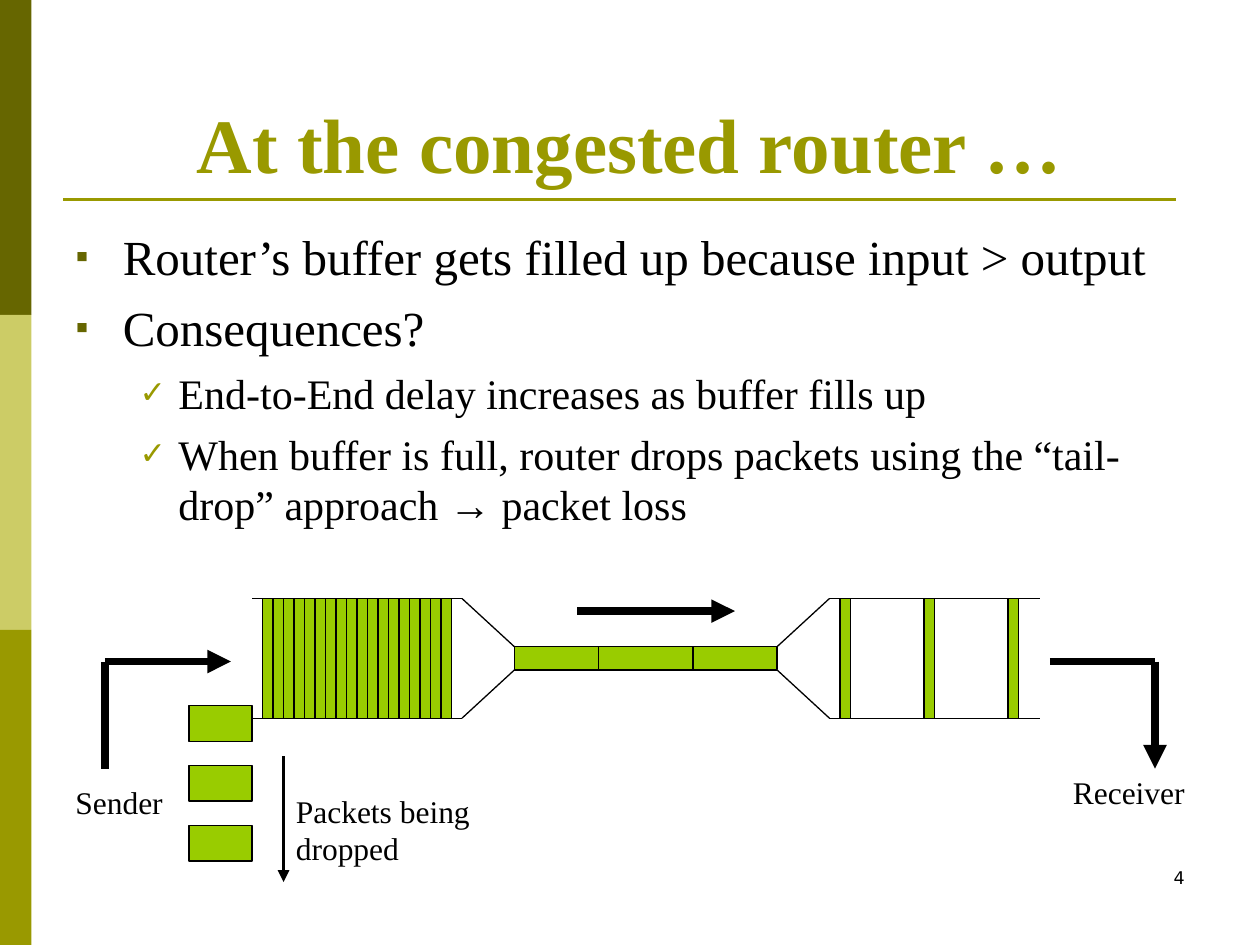
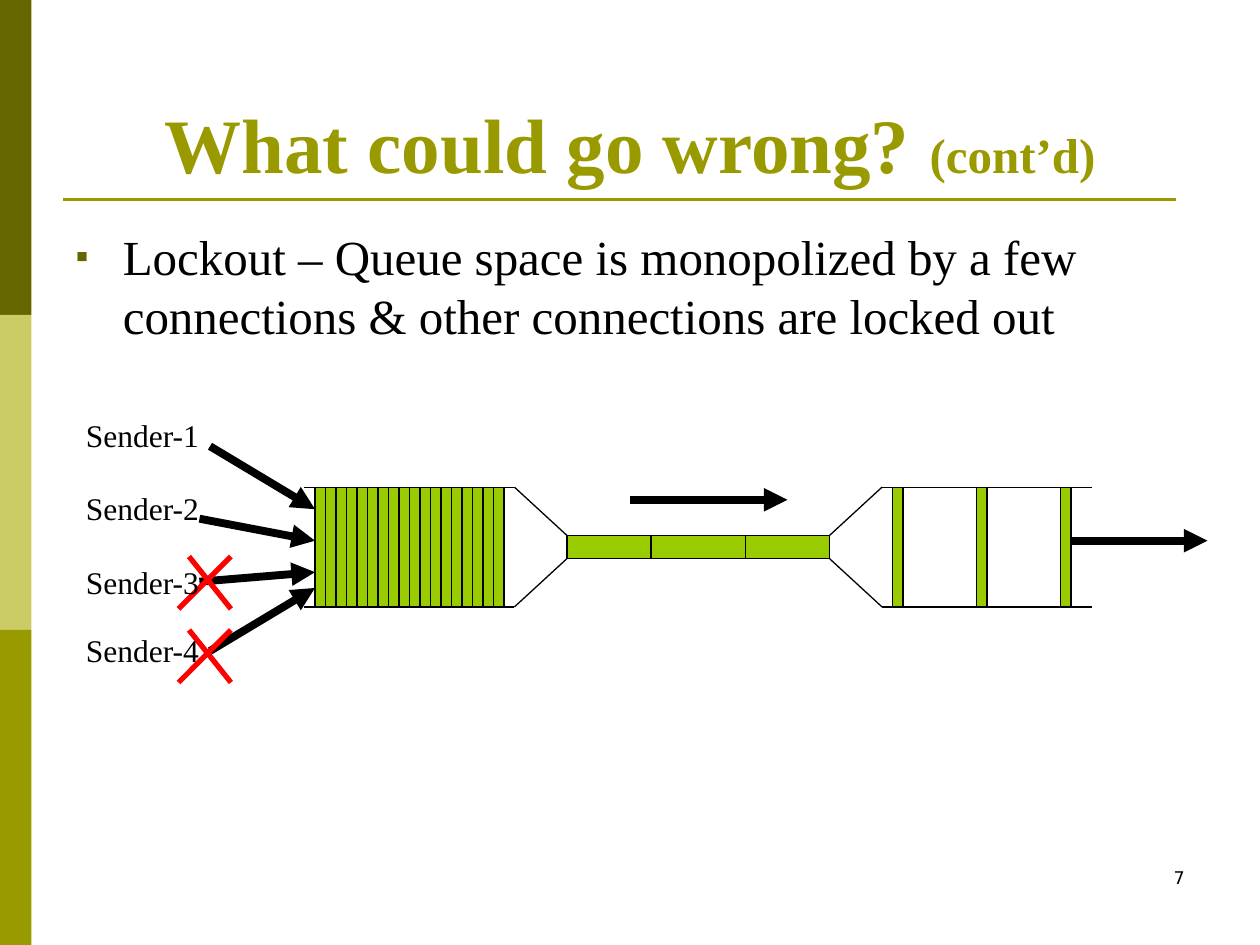
from lxml.etree import SubElement
from pptx import Presentation
from pptx.dml.color import RGBColor
from pptx.enum.shapes import MSO_CONNECTOR as CONN, MSO_SHAPE as SHAPE
from pptx.enum.text import MSO_ANCHOR as ANCHOR, MSO_AUTO_SIZE as FIT, PP_ALIGN as ALIGN
from pptx.oxml.ns import qn
from pptx.util import Pt

PX = 7620
SERIF = "Times New Roman"
BLACK, RED, GREEN = "000000", "FF0000", "99CC00"
DARK, PALE, OLIVE = "666600", "CCCC66", "999900"
rgb = RGBColor.from_string


def add_text(p, text, size=18, color=BLACK, font=SERIF, bold=False):
    r = p.add_run()
    r.text = text
    r.font.size, r.font.name, r.font.bold = Pt(size), font, bold
    r.font.color.rgb = rgb(color)


def add_line(s, x1, y1, x2, y2, width=0.75, color=BLACK, arrow=False):
    c = s.shapes.add_connector(CONN.STRAIGHT, x1 * PX, y1 * PX, x2 * PX, y2 * PX)
    c.line.width = Pt(width)
    c.line.color.rgb = rgb(color)
    spPr = c.element.spPr
    if arrow:
        SubElement(spPr.find(qn("a:ln")), qn("a:tailEnd"), type="triangle")
    SubElement(spPr, qn("a:effectLst"))
    return c


BULLETS = [
    dict(size=28, indent=45, hang=45, before=7, char="▪", color=DARK),
    dict(size=24, indent=98, hang=37, before=6, char="✓", color=OLIVE),
]

SLIDES = [
    dict(
        number="4",
        title=[("At the congested router …", 44)],
        body_height=310,
        body=[
            (0, [("Router’s buffer gets filled up because input > output", SERIF)]),
            (0, [("Consequences?", SERIF)]),
            (1, [("End-to-End delay increases as buffer fills up", SERIF)]),
            (1, [("When buffer is full, router drops packets using the “tail-drop” approach ", SERIF),
                 ("→", "Arial"), (" packet loss", SERIF)]),
        ],
        pipe=(240, 570),
        dropped=[(180, y, 60, 34) for y in (672, 729, 786)],
        lines=[
            (100, 630, 220, 630, 4.5, BLACK, True),
            (100, 630, 100, 732, 4.5),
            (1000, 630, 1100, 630, 4.5),
            (1100, 630, 1100, 732, 4.5, BLACK, True),
            (270, 720, 270, 840, 2.25, BLACK, True),
        ],
        labels=[
            (60, 740, 130, 48, "Sender"),
            (1010, 730, 140, 48, "Receiver"),
            (270, 748, 250, 84, "Packets being dropped"),
        ],
    ),
    dict(
        number="7",
        title=[("What could go wrong? ", 44), ("(cont’d)", 28)],
        body_height=180,
        body=[
            (0, [("Lockout – Queue space is monopolized by a few connections "
                  "& other connections are locked out", SERIF)]),
        ],
        pipe=(290, 464),
        dropped=[],
        lines=[
            (200, 425, 300, 485, 4.5, BLACK, True),
            (190, 494, 300, 515, 4.5, BLACK, True),
            (190, 554, 300, 545, 4.5, BLACK, True),
            (200, 620, 300, 560, 4.5, BLACK, True),
            (1020, 515, 1150, 515, 4.5, BLACK, True),
        ] + [
            (x, y1, 220, y2, 3, RED)
            for top in (530, 600)
            for x, y1, y2 in ((180, top, top + 50), (170, top + 50, top))
        ],
        labels=[(70, y, 140, 48, f"Sender-{i}")
                for i, y in enumerate((390, 460, 530, 595), 1)],
    ),
]

prs = Presentation()
prs.slide_width, prs.slide_height = 1200 * PX, 900 * PX
layout = prs.slide_layouts[1]
for ph in list(layout.placeholders):
    if ph.placeholder_format.idx >= 10:
        ph.element.getparent().remove(ph.element)

for n, data in enumerate(SLIDES):
    s = prs.slides.add_slide(layout)

    if n == 0:
        shared = [add_line(s, 60, 190, 1120, 190, 1.5, OLIVE)]
        for i, color in enumerate((DARK, PALE, OLIVE)):
            sp = s.shapes.add_shape(SHAPE.RECTANGLE, 0, i * 300 * PX, 30 * PX, 300 * PX)
            sp.shadow.inherit = False
            sp.fill.solid()
            sp.fill.fore_color.rgb = rgb(color)
            sp.line.fill.background()
            shared.append(sp)
        for sp in shared:
            layout.shapes.element.append(sp.element)

    title, body = s.shapes.title, s.placeholders[1]
    for sp, top, height in ((title, 36, 150), (body, 210, data["body_height"])):
        sp.left, sp.top, sp.width, sp.height = 60 * PX, top * PX, 1080 * PX, height * PX
        sp.text_frame.auto_size = FIT.NONE
    title.text_frame.vertical_anchor = ANCHOR.BOTTOM
    p = title.text_frame.paragraphs[0]
    p.alignment = ALIGN.CENTER
    for text, size in data["title"]:
        add_text(p, text, size=size, color=OLIVE, bold=True)

    tf = body.text_frame
    for i, (level, runs) in enumerate(data["body"]):
        style = BULLETS[level]
        p = tf.add_paragraph() if i else tf.paragraphs[0]
        p.level = level
        p.space_before = Pt(style["before"] if i else 0)
        pPr = p._p.get_or_add_pPr()
        pPr.set("marL", str(style["indent"] * PX))
        pPr.set("indent", str(-style["hang"] * PX))
        SubElement(SubElement(pPr, qn("a:buClr")), qn("a:srgbClr"), val=style["color"])
        SubElement(pPr, qn("a:buSzPct"), val="75000")
        SubElement(pPr, qn("a:buFont"), typeface="Arial")
        SubElement(pPr, qn("a:buChar"), char=style["char"])
        for text, font in runs:
            add_text(p, text, size=style["size"], font=font)

    x, y = data["pipe"]
    for edge, throat in ((0, 46), (114, 68)):
        outline = [(0, edge), (200, edge), (250, throat), (500, throat), (550, edge), (750, edge)]
        for (x1, y1), (x2, y2) in zip(outline, outline[1:]):
            add_line(s, x + x1, y + y1, x + x2, y + y2)

    queued = [(x + 10 + 10 * i, y, 10, 114) for i in range(18)]
    in_link = [(x + dx, y + 46, 90, 22) for dx in (410, 250, 330)]
    delivered = [(x + 560 + 80 * i, y, 10, 114) for i in range(3)]
    for box in queued + in_link + delivered + data["dropped"]:
        sp = s.shapes.add_shape(SHAPE.RECTANGLE, *(v * PX for v in box))
        sp.shadow.inherit = False
        sp.fill.solid()
        sp.fill.fore_color.rgb = rgb(GREEN)
        sp.line.color.rgb = rgb(BLACK)
        sp.line.width = Pt(0.75)

    add_line(s, x + 310, y + 12, x + 460, y + 12, 4.5, arrow=True)
    for line in data["lines"]:
        add_line(s, *line)

    for *box, text in data["labels"]:
        tf = s.shapes.add_textbox(*(v * PX for v in box)).text_frame
        tf.word_wrap = True
        add_text(tf.paragraphs[0], text)

    tf = s.shapes.add_textbox(860 * PX, 820 * PX, 280 * PX, 60 * PX).text_frame
    tf.word_wrap = True
    tf.paragraphs[0].alignment = ALIGN.RIGHT
    add_text(tf.paragraphs[0], data["number"], size=10, font="DejaVu Sans")

prs.save("out.pptx")
